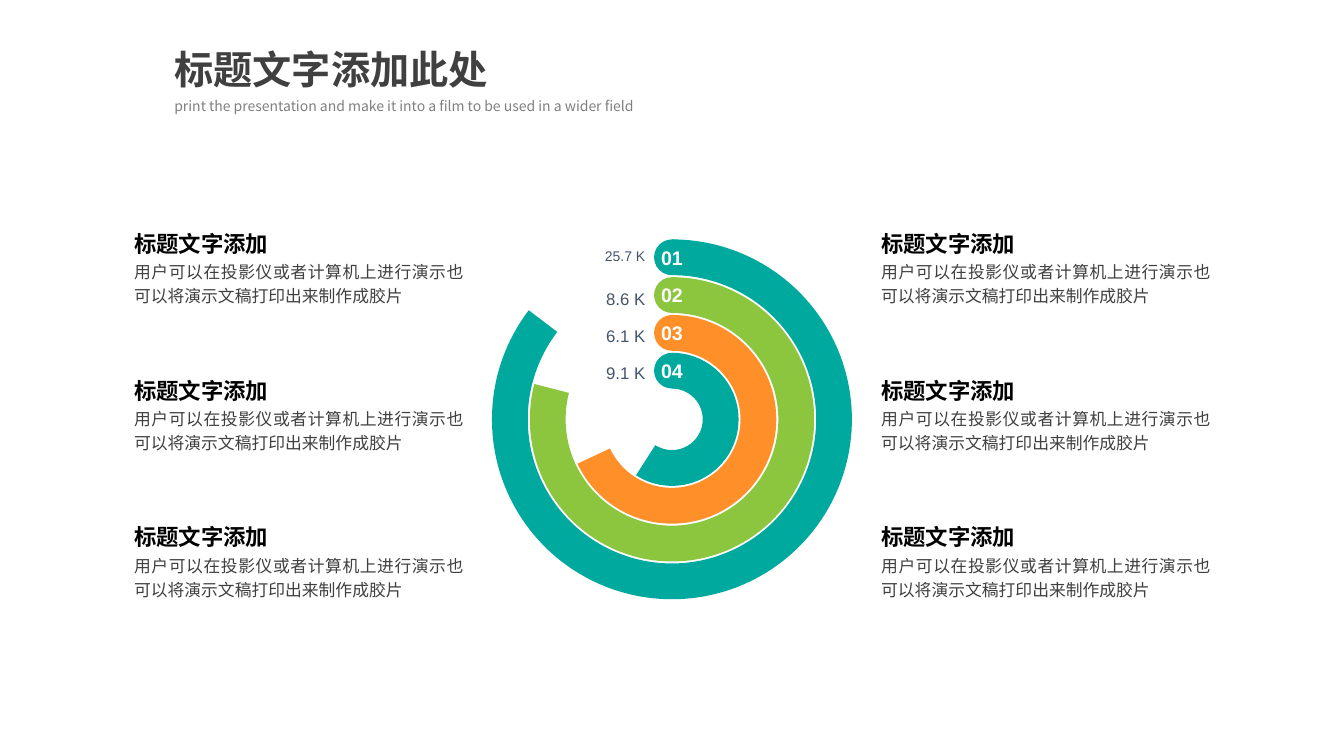
from lxml import etree
from pptx import Presentation
from pptx.dml.color import RGBColor
from pptx.enum.shapes import MSO_SHAPE
from pptx.enum.text import MSO_ANCHOR, MSO_AUTO_SIZE, PP_ALIGN
from pptx.oxml.ns import qn
from pptx.util import Inches, Pt

ARC, CIRCLE = MSO_SHAPE.BLOCK_ARC, MSO_SHAPE.OVAL
TOP, MIDDLE = MSO_ANCHOR.TOP, MSO_ANCHOR.MIDDLE
FIXED, GROW = MSO_AUTO_SIZE.NONE, MSO_AUTO_SIZE.SHAPE_TO_FIT_TEXT
LEFT, CENTER, RIGHT, JUSTIFY = PP_ALIGN.LEFT, PP_ALIGN.CENTER, PP_ALIGN.RIGHT, PP_ALIGN.JUSTIFY

CJK_FONT, LATIN_FONT = "Noto Sans CJK SC", "Arial"
TEAL, GREEN, ORANGE = "00A99D", "8CC63F", "FF8F29"
WHITE, BLACK, DARK, GRAY, SLATE = "FFFFFF", "000000", "404040", "808080", "44546A"

CENTER_X, CENTER_Y = 6.665, 4.16
OUTER_RADIUS, BAND, RING_STEP = 1.785, 0.355, 0.375
START_ANGLE = 270
ANGLE_UNIT = 0.6
RINGS = [
    ("01", TEAL, 217.3, "25.7 K", 10, 0.8),
    ("02", GREEN, 194.4, "8.6 K", 12, 1),
    ("03", ORANGE, 154.8, "6.1 K", 12, 1),
    ("04", TEAL, 122.8, "9.1 K", 12, 1),
]
LABEL_TOP, LABEL_STEP = 2.49, 0.37

COLUMN_LEFTS = (1.28, 8.69)
FIRST_ROW, ROW_STEP, ROW_COUNT = 2.18, 1.455, 3
HEADING = "标题文字添加"
DETAIL = "用户可以在投影仪或者计算机上进行演示也可以将演示文稿打印出来制作成胶片"


def rgb(value):
    return RGBColor.from_string(value)


def write(shape, text, size, color, font=CJK_FONT, bold=False, align=LEFT,
          spacing=1, inset=0.05, wrap=True, anchor=TOP, fit=GROW):
    frame = shape.text_frame
    frame.text = text
    frame.word_wrap = wrap
    frame.auto_size = fit
    frame.vertical_anchor = anchor
    frame.margin_left = frame.margin_right = Inches(inset)
    frame.margin_top = frame.margin_bottom = Inches(inset)
    paragraph = frame.paragraphs[0]
    paragraph.alignment = align
    paragraph.line_spacing = spacing
    run = paragraph.runs[0]
    run.font.size = Pt(size)
    run.font.bold = bold
    run.font.color.rgb = rgb(color)
    run.font.name = font
    etree.SubElement(run._r.get_or_add_rPr(), qn("a:ea"), typeface=font)


def add_text(slide, left, top, width, height, text, size, color, **style):
    box = slide.shapes.add_textbox(*map(Inches, (left, top, width, height)))
    write(box, text, size, color, **style)


def add_round(slide, kind, center_y, radius, color):
    diameter = Inches(2 * radius)
    shape = slide.shapes.add_shape(kind, Inches(CENTER_X - radius),
                                   Inches(center_y - radius), diameter, diameter)
    shape.shadow.inherit = False
    shape.fill.solid()
    shape.fill.fore_color.rgb = rgb(color)
    shape.line.fill.background()
    return shape


def add_ring(slide, index, number, color, end_angle, amount, size, spacing):
    radius = OUTER_RADIUS - index * RING_STEP
    band = add_round(slide, ARC, CENTER_Y, radius, color)
    band.adjustments[0] = START_ANGLE * ANGLE_UNIT
    band.adjustments[1] = end_angle * ANGLE_UNIT
    band.adjustments[2] = BAND / (2 * radius)

    cap = add_round(slide, CIRCLE, CENTER_Y - radius + BAND / 2, BAND / 2, color)
    write(cap, number, 14, WHITE, font=LATIN_FONT, bold=True, align=CENTER,
          inset=0, wrap=False, anchor=MIDDLE, fit=FIXED)
    add_text(slide, 6, LABEL_TOP + index * LABEL_STEP, 0.4, 0.19, amount, size,
             SLATE, font=LATIN_FONT, align=RIGHT, spacing=spacing, inset=0,
             wrap=False, fit=FIXED)


def add_topic(slide, left, top):
    add_text(slide, left, top + 0.33, 3.37, 0.62, DETAIL, 12, DARK,
             align=JUSTIFY, spacing=1.2)
    add_text(slide, left, top, 2.24, 0.41, HEADING, 16, BLACK, bold=True,
             align=JUSTIFY, spacing=1.2)


def add_header(slide):
    title = slide.shapes.title
    title.left, title.top, title.width, title.height = map(Inches, (1.68, 0.4, 3.6, 0.66))
    write(title, "标题文字添加此处", 28, DARK, bold=True)
    add_text(slide, 1.68, 0.89, 5.34, 0.27,
             "print the presentation and make it into a film to be used in a wider field",
             10, GRAY, spacing=1.2)


def main():
    deck = Presentation()
    deck.slide_width, deck.slide_height = Inches(13.33), Inches(7.5)
    slide = deck.slides.add_slide(deck.slide_layouts[5])
    add_header(slide)
    for index, ring in enumerate(RINGS):
        add_ring(slide, index, *ring)
    for left in COLUMN_LEFTS:
        for row in range(ROW_COUNT):
            add_topic(slide, left, FIRST_ROW + row * ROW_STEP)
    deck.save("out.pptx")


if __name__ == "__main__":
    main()
